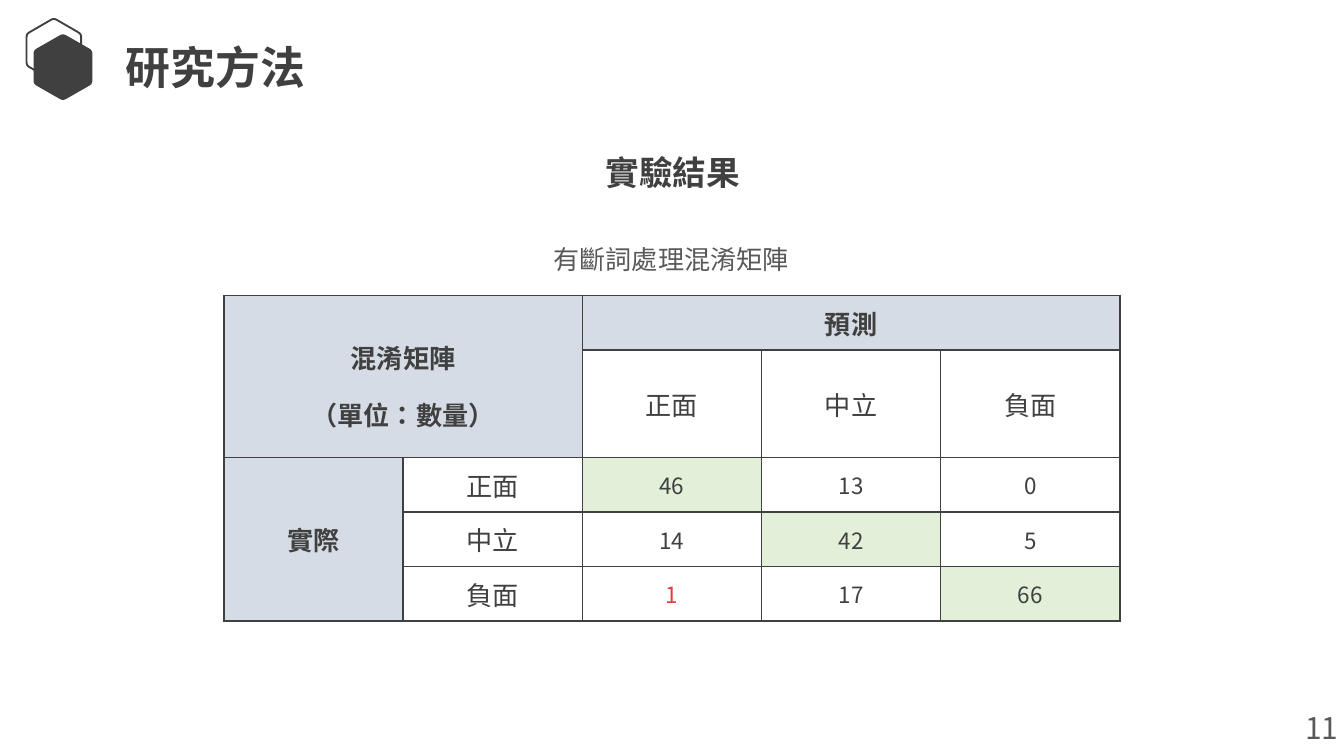
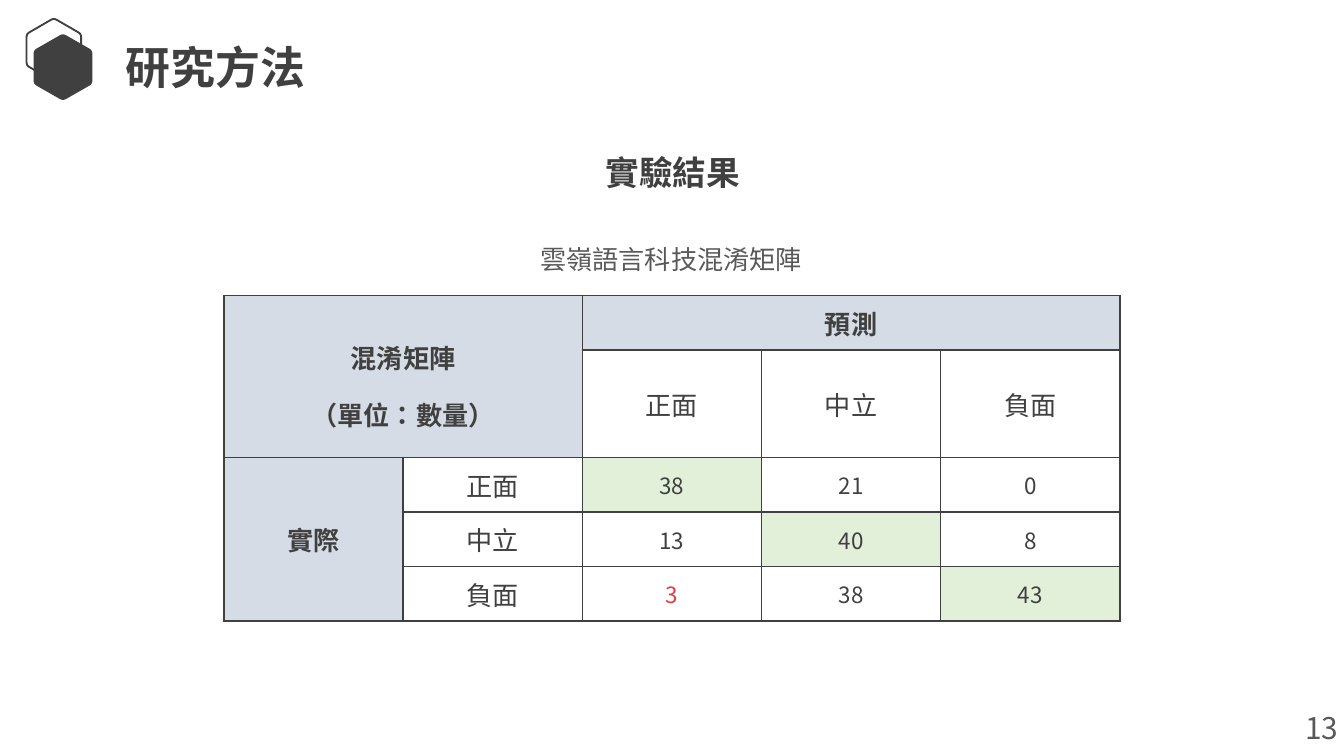
"""Build two slides that report confusion matrices."""
import dataclasses
import math

import lxml.etree
import pptx
import pptx.dml.color
import pptx.enum.lang
import pptx.enum.text
import pptx.oxml.ns
import pptx.util

ALIGN = pptx.enum.text.PP_ALIGN
ANCHOR = pptx.enum.text.MSO_ANCHOR
FIT = pptx.enum.text.MSO_AUTO_SIZE.SHAPE_TO_FIT_TEXT
LANGUAGE = pptx.enum.lang.MSO_LANGUAGE_ID.TRADITIONAL_CHINESE
EMU_PER_PX = 9525


@dataclasses.dataclass(frozen=True)
class Theme:
    """Colours, font and type sizes of the deck."""
    font: str = "Noto Sans CJK JP"
    ink: str = "404040"
    soft: str = "595959"
    alert: str = "E03E3E"
    header: str = "D6DCE5"
    hit: str = "E2F0D9"
    paper: str = "FFFFFF"
    title_size: int = 24
    heading_size: int = 18
    number_size: int = 16
    body_size: int = 14
    count_size: int = 12
    line_width: int = 1


THEME = Theme()
TITLE = "研究方法"
HEADING = "實驗結果"
CORNER = ("混淆矩陣", "（單位：數量）")
CLASSES = ("正面", "中立", "負面")
SLIDES = (
    ("有斷詞處理混淆矩陣", "11", ((46, 13, 0), (14, 42, 5), (1, 17, 66))),
    ("雲嶺語言科技混淆矩陣", "13", ((38, 21, 0), (13, 40, 8), (3, 38, 43))),
)


def px(length):
    """Turn px into EMU."""
    return pptx.util.Emu(round(length * EMU_PER_PX))


def rgb(value):
    """Turn a hex text into a colour."""
    return pptx.dml.color.RGBColor.from_string(value)


def apply_format(target, values):
    """Set each attribute named in a dict of format values."""
    for name, value in values.items():
        setattr(target, name, value)


def write(frame, lines, size, color=THEME.ink, bold=False, align=ALIGN.CENTER, spacing=None):
    """Write one styled paragraph for each line."""
    for index, line in enumerate(lines):
        para = frame.add_paragraph() if index else frame.paragraphs[0]
        apply_format(para, {"alignment": align, "line_spacing": spacing})
        span = para.add_run()
        span.text = line
        apply_format(span.font, {"name": THEME.font, "size": pptx.util.Pt(size),
                                 "bold": bold, "language_id": LANGUAGE})
        span.font.color.rgb = rgb(color)
        east_asian = pptx.oxml.ns.qn("a:ea")
        lxml.etree.SubElement(span.font._element, east_asian, typeface=THEME.font)


def set_frame(frame, inset_x, inset_y, anchor=ANCHOR.TOP):
    """Set insets, wrapping and anchor of a text frame."""
    apply_format(frame, {
        "margin_left": px(inset_x), "margin_right": px(inset_x),
        "margin_top": px(inset_y), "margin_bottom": px(inset_y),
        "word_wrap": True, "vertical_anchor": anchor, "auto_size": FIT,
    })


def add_label(page, box, text, style, **frame_style):
    """Add a text box holding one line."""
    frame = page.shapes.add_textbox(*map(px, box)).text_frame
    set_frame(frame, **frame_style)
    write(frame, [text], **style)


def add_title(page, box):
    """Move and format the title placeholder."""
    title = page.shapes.title
    apply_format(title, dict(zip(("left", "top", "width", "height"), map(px, box))))
    set_frame(title.text_frame, 7, 4)
    write(title.text_frame, [TITLE], THEME.title_size, bold=True, align=ALIGN.LEFT)


def hexagon_points(box, rounding=0.1, steps=4):
    """Return the outline of a hexagon with rounded corners."""
    left, top, width, height = box
    turns = [math.radians(60 * side - 90) for side in range(6)]
    corners = [(left + width * (0.5 + math.cos(turn) / math.sqrt(3)),
                top + height * (0.5 + math.sin(turn) / 2)) for turn in turns]
    points = []
    for index, corner in enumerate(corners):
        before, after = corners[index - 1], corners[(index + 1) % 6]
        for step in range(steps + 1):
            part = step / steps
            points.append(tuple(
                px(c + rounding * ((1 - part) ** 2 * (b - c) + part ** 2 * (a - c)))
                for b, c, a in zip(before, corner, after)))
    return points


def add_emblem(page, box):
    """Add an outlined hexagon behind a filled one."""
    left, top, width, height = box
    group = page.shapes.add_group_shape()
    outline = (left, top, width - 8, height - 14)
    solid = (left + 5, top + 11, width - 5, height - 11)
    for part, filled in ((outline, False), (solid, True)):
        start, *others = hexagon_points(part)
        builder = group.shapes.build_freeform(*start)
        builder.add_line_segments(others, close=True)
        shape = builder.convert_to_shape()
        shape.shadow.inherit = False
        if filled:
            shape.fill.solid()
            shape.fill.fore_color.rgb = rgb(THEME.ink)
            shape.line.fill.background()
        else:
            shape.fill.background()
            shape.line.color.rgb = rgb(THEME.ink)
            shape.line.width = pptx.util.Pt(THEME.line_width)


def paint_cell(cell, color):
    """Fill a cell and draw its four borders."""
    cell.vertical_anchor = ANCHOR.MIDDLE
    cell.fill.solid()
    cell.fill.fore_color.rgb = rgb(color)
    properties = cell._tc.get_or_add_tcPr()
    for index, side in enumerate(("lnL", "lnR", "lnT", "lnB")):
        width = str(pptx.util.Pt(THEME.line_width))
        border = lxml.etree.Element(pptx.oxml.ns.qn(f"a:{side}"), w=width)
        fill = lxml.etree.SubElement(border, pptx.oxml.ns.qn("a:solidFill"))
        lxml.etree.SubElement(fill, pptx.oxml.ns.qn("a:srgbClr"), val=THEME.ink)
        properties.insert(index, border)


def add_matrix(page, box, counts):
    """Add the confusion matrix with its merged headers."""
    left, top, width, height = box
    table = page.shapes.add_table(5, 5, *map(px, box)).table
    apply_format(table, {"first_row": False, "horz_banding": False})
    for column in table.columns:
        column.width = px(width / 5)
    for row in table.rows:
        row.height = px(height / 5)
    for row in range(5):
        for column in range(5):
            is_header = row == 0 or column == 0 or (row, column) == (1, 1)
            is_hit = row == column and row > 1
            color = THEME.header if is_header else THEME.hit if is_hit else THEME.paper
            paint_cell(table.cell(row, column), color)
    headers = (((0, 0), (1, 1), CORNER, 1.5),
               ((0, 2), (0, 4), ["預測"], None),
               ((2, 0), (4, 0), ["實際"], None))
    for first, last, lines, spacing in headers:
        cell = table.cell(*first)
        cell.merge(table.cell(*last))
        write(cell.text_frame, lines, THEME.body_size, bold=True, spacing=spacing)
    for index, name in enumerate(CLASSES, start=2):
        for cell in (table.cell(1, index), table.cell(index, 1)):
            write(cell.text_frame, [name], THEME.body_size)
    for row, values in enumerate(counts, start=2):
        for column, value in enumerate(values, start=2):
            color = THEME.alert if (row, column) == (4, 2) else THEME.ink
            write(table.cell(row, column).text_frame, [str(value)], THEME.count_size, color)


def add_result_slide(deck, caption, number, counts):
    """Add one slide with a captioned confusion matrix."""
    page = deck.slides.add_slide(deck.slide_layouts[5])
    add_emblem(page, (19, 13, 47, 59))
    add_title(page, (83, 24, 340, 46))
    add_label(page, (162, 157, 635, 40), caption,
              {"size": THEME.body_size, "color": THEME.soft, "spacing": 1.5},
              inset_x=11, inset_y=6)
    add_label(page, (919, 505, 41, 35), number,
              {"size": THEME.number_size, "color": THEME.soft, "align": ALIGN.RIGHT},
              inset_x=4, inset_y=2)
    add_matrix(page, (160, 211, 640, 195), counts)
    add_label(page, (199, 104, 563, 38), HEADING,
              {"size": THEME.heading_size, "bold": True},
              inset_x=10, inset_y=5, anchor=ANCHOR.MIDDLE)


def main():
    """Build and save the deck."""
    deck = pptx.Presentation()
    apply_format(deck, {"slide_width": px(960), "slide_height": px(540)})
    for caption, number, counts in SLIDES:
        add_result_slide(deck, caption, number, counts)
    deck.save("out.pptx")


if __name__ == "__main__":
    main()
